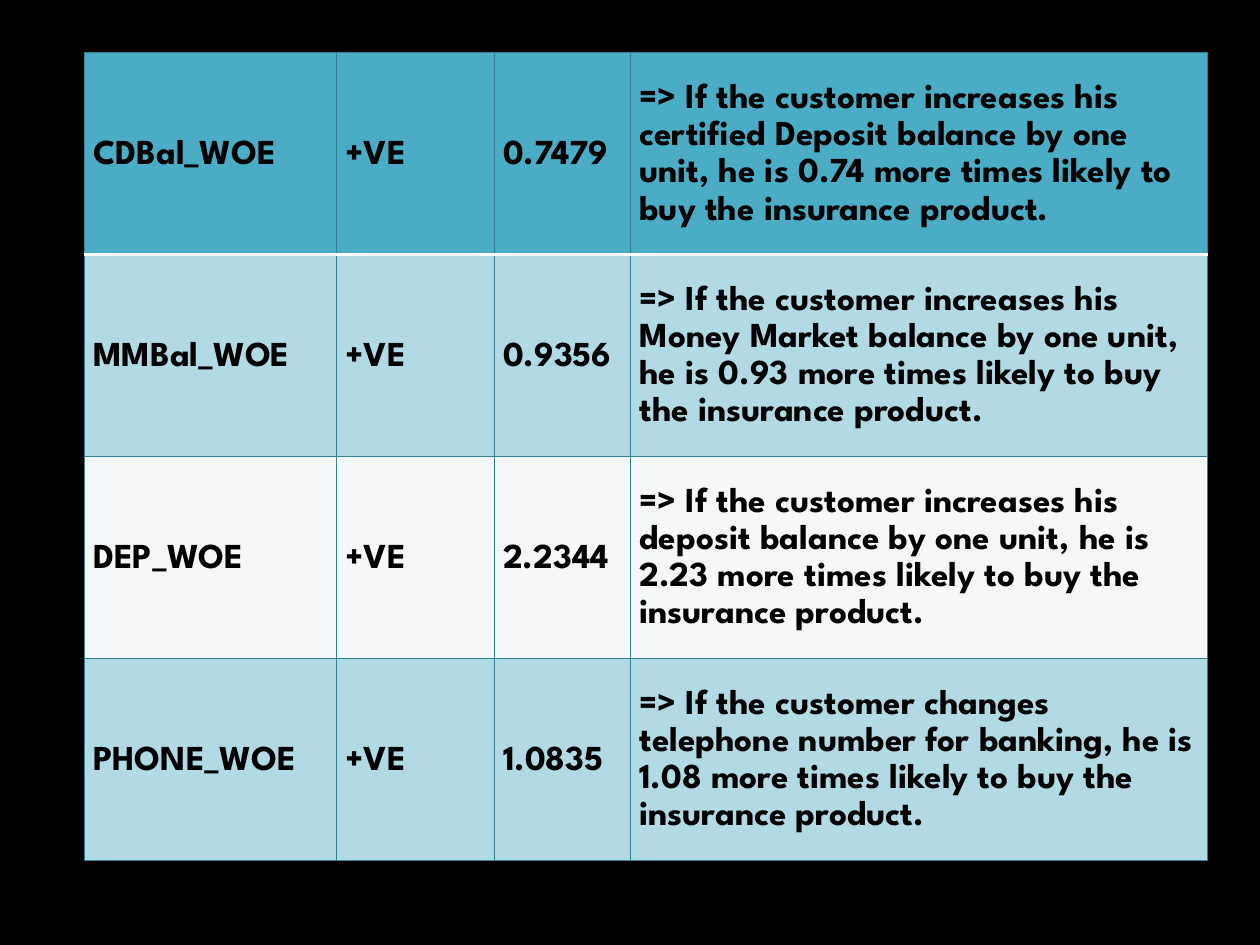
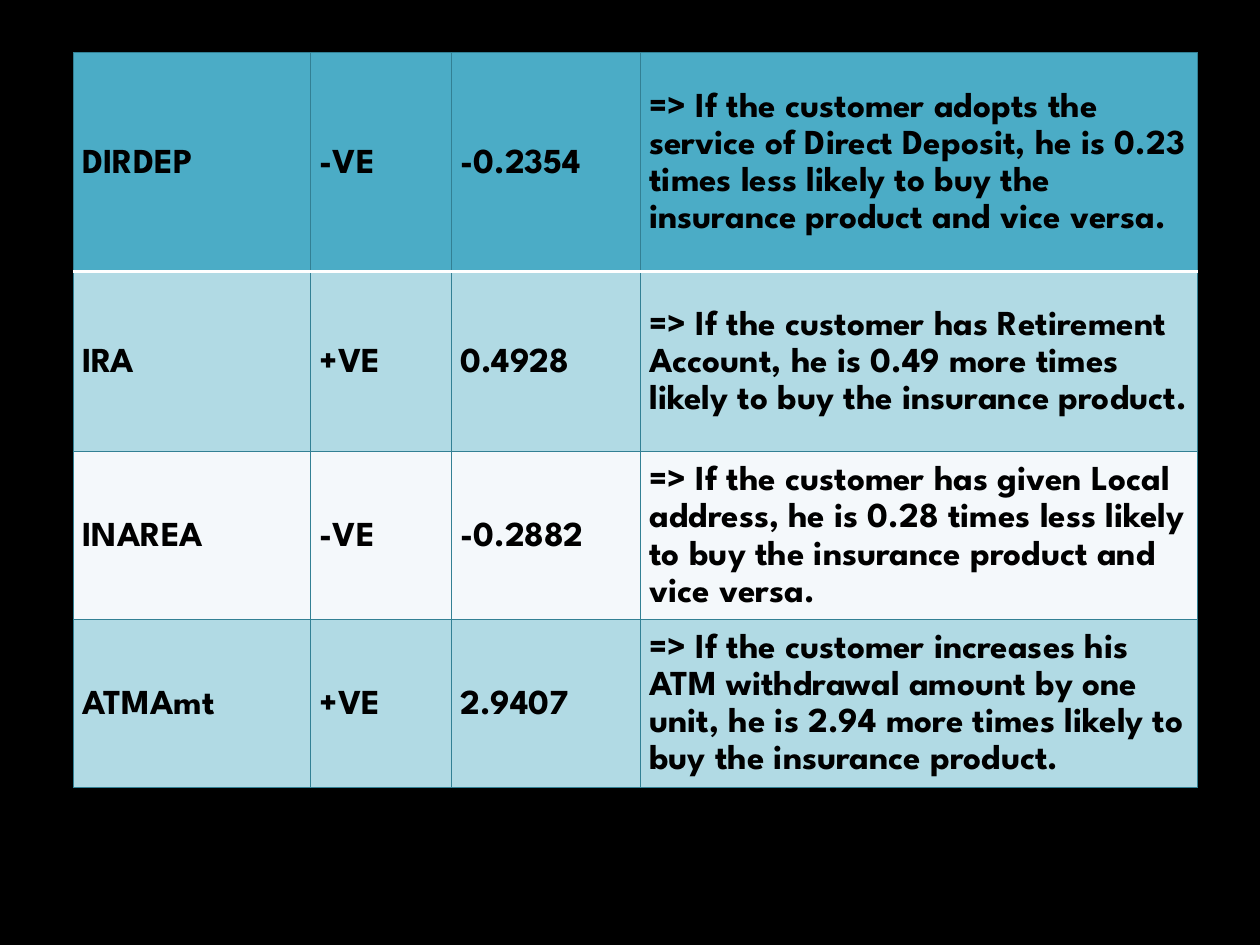
from lxml import etree
from pptx import Presentation
from pptx.dml.color import RGBColor
from pptx.enum.text import MSO_ANCHOR
from pptx.oxml.ns import qn
from pptx.util import Cm, Pt

MIDDLE = MSO_ANCHOR.MIDDLE
FONT = "League Spartan"
COLORS = {
    "background": "000000",
    "text": "000000",
    "header": "4BACC6",
    "band": "B1DAE4",
    "plain": "F4F8FB",
    "grid": "328094",
    "header_rule": "FFFFFF",
}


def rgb(name):
    """Return the named palette colour."""
    return RGBColor.from_string(COLORS[name])


def write(frame, text, size=20, color="text", bold=True, spacing=1.15):
    """Put one formatted paragraph into a text frame."""
    paragraph = frame.paragraphs[0]
    paragraph.line_spacing = spacing
    run = paragraph.add_run()
    run.text = text
    run.font.name = FONT
    run.font.size = Pt(size)
    run.font.bold = bold
    run.font.color.rgb = rgb(color)


def set_borders(cell, **sides):
    """Draw the L, R, T and B borders, each given as (colour, points)."""
    properties = cell._tc.get_or_add_tcPr()
    for position, side in enumerate("LRTB"):
        color, points = sides[side]
        line = etree.Element(qn(f"a:ln{side}"), w=str(Pt(points)))
        fill = etree.SubElement(line, qn("a:solidFill"))
        etree.SubElement(fill, qn("a:srgbClr"), val=COLORS[color])
        properties.insert(position, line)


def style_cell(cell, row_number):
    """Give a cell the fill, margins and borders of its row."""
    cell.vertical_anchor = MIDDLE
    cell.margin_left = cell.margin_right = Cm(0.18)
    cell.margin_top = cell.margin_bottom = 0
    if row_number == 0:
        fill = "header"
    else:
        fill = "band" if row_number % 2 else "plain"
    cell.fill.solid()
    cell.fill.fore_color.rgb = rgb(fill)
    grid, rule = ("grid", 0.75), ("header_rule", 2)
    set_borders(cell, L=grid, R=grid,
                T=rule if row_number == 1 else grid,
                B=rule if row_number == 0 else grid)


def add_variable_table(slide, left, top, widths, heights, variables):
    """Place a table of variable, sign, coefficient and meaning."""
    table = slide.shapes.add_table(
        len(heights), len(widths), Cm(left), Cm(top),
        Cm(sum(widths)), Cm(sum(heights))).table
    for column, width in zip(table.columns, widths):
        column.width = Cm(width)
    for row_number, (height, variable) in enumerate(zip(heights, variables)):
        table.rows[row_number].height = Cm(height)
        for cell, text in zip(table.rows[row_number].cells, variable):
            style_cell(cell, row_number)
            write(cell.text_frame, text)


def add_variable_slide(deck, **table):
    """Add a black slide with one table of variables."""
    slide = deck.slides.add_slide(deck.slide_layouts[6])
    slide.background.fill.solid()
    slide.background.fill.fore_color.rgb = rgb("background")
    add_variable_table(slide, top=1.06, **table)


BALANCE_VARIABLES = [
    ("CDBal_WOE", "+VE", "0.7479",
     "=> If the customer increases his certified Deposit balance by one unit, "
     "he is 0.74 more times likely to buy the insurance product."),
    ("MMBal_WOE", "+VE", "0.9356",
     "=> If the customer increases his Money Market balance by one unit, "
     "he is 0.93 more times likely to buy the insurance product."),
    ("DEP_WOE", "+VE", "2.2344",
     "=> If the customer increases his deposit balance by one unit, "
     "he is 2.23 more times likely to buy the insurance product."),
    ("PHONE_WOE", "+VE", "1.0835",
     "=> If the customer changes telephone number for banking, "
     "he is 1.08 more times likely to buy the insurance product."),
]
SERVICE_VARIABLES = [
    ("DIRDEP", "-VE", "-0.2354",
     "=> If the customer adopts the service of Direct Deposit, he is 0.23 "
     "times less likely to buy the insurance product and vice versa."),
    ("IRA", "+VE", "0.4928",
     "=> If the customer has Retirement Account, he is 0.49 more times "
     "likely to buy the insurance product."),
    ("INAREA", "-VE", "-0.2882",
     "=> If the customer has given Local address, he is 0.28 times less "
     "likely to buy the insurance product and vice versa."),
    ("ATMAmt", "+VE", "2.9407",
     "=> If the customer increases his ATM withdrawal amount by one unit, "
     "he is 2.94 more times likely to buy the insurance product."),
]

deck = Presentation()
deck.slide_width, deck.slide_height = Cm(25.4), Cm(19.05)
add_variable_slide(deck, left=1.7, widths=[5.08, 3.18, 2.75, 11.64],
                   heights=[4.07] * 4, variables=BALANCE_VARIABLES)
add_variable_slide(deck, left=1.48, widths=[4.78, 2.84, 3.81, 11.23],
                   heights=[4.42, 3.63, 3.38, 3.38],
                   variables=SERVICE_VARIABLES)
deck.save("out.pptx")
